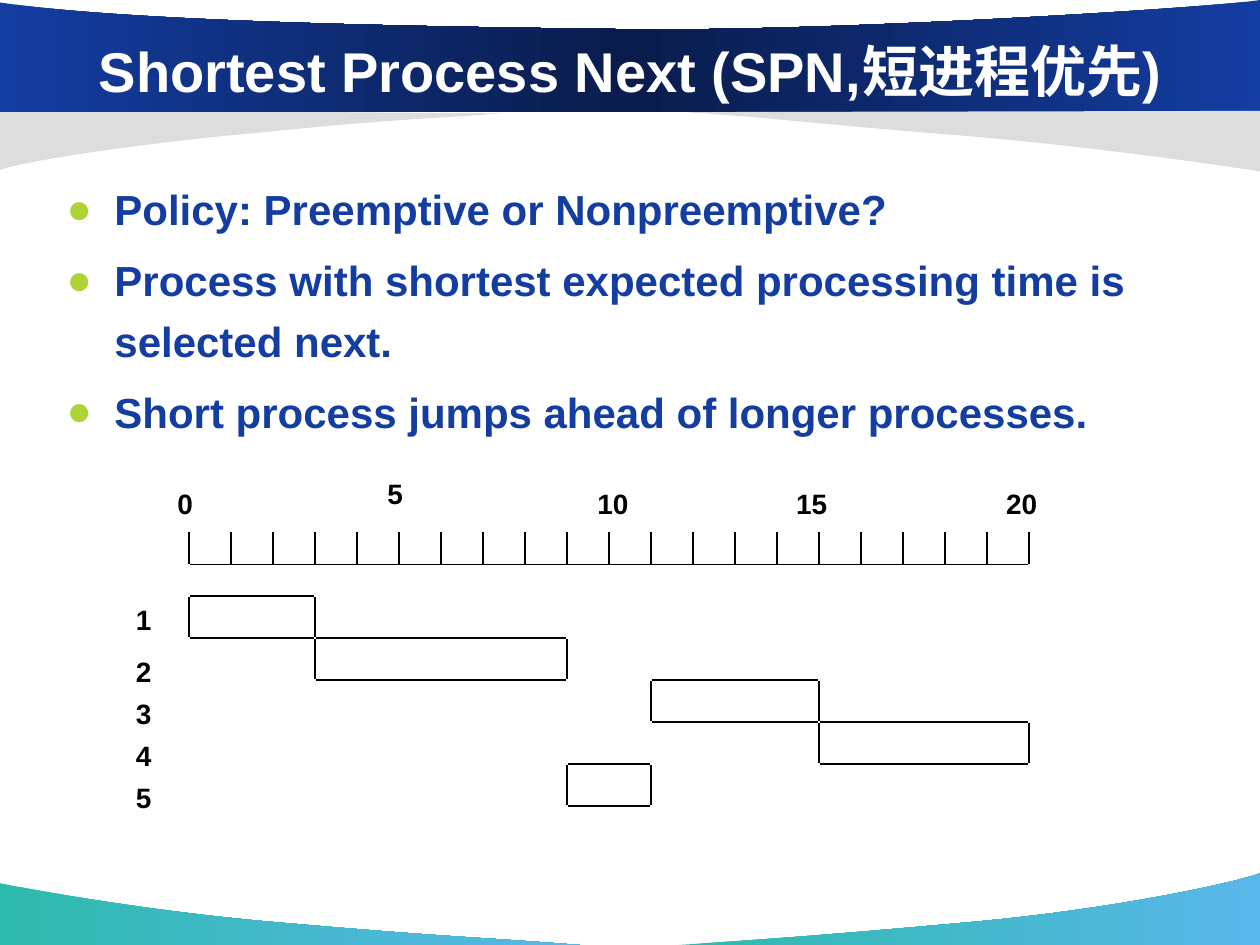
from dataclasses import dataclass

import pptx
import pptx.util
import pptx.dml.color
import pptx.enum.shapes
import pptx.enum.text
import pptx.oxml.ns
from lxml import etree

Inches, Pt = pptx.util.Inches, pptx.util.Pt
RGB = pptx.dml.color.RGBColor.from_string
ANCHOR, ALIGN = pptx.enum.text.MSO_ANCHOR, pptx.enum.text.PP_ALIGN


@dataclass(frozen=True)
class Theme:
    font: str = "Arial"
    title_size: int = 32
    body_size: int = 24
    label_size: int = 16
    white: str = "FFFFFF"
    black: str = "000000"
    blue: str = "143DA2"
    navy: str = "091C4B"
    gray: str = "DDDDDD"
    lime: str = "AED337"
    teal: str = "2EBAAD"
    sky: str = "5AB7EA"


THEME = Theme()
WIDTH, HEIGHT = 10, 7.5

TITLE = "Shortest Process Next (SPN,短进程优先)"
BULLETS = [
    "Policy: Preemptive or Nonpreemptive?",
    "Process with shortest expected processing time is selected next.",
    "Short process jumps ahead of longer processes.",
]
# process: (start, finish)
SCHEDULE = {"1": (0, 3), "2": (3, 9), "3": (11, 15), "4": (15, 20), "5": (9, 11)}
# time: (label offset from its tick, label top)
TIME_LABELS = {0: (0.19, 3.81), 5: (0.19, 3.73), 10: (0.19, 3.81),
               15: (0.28, 3.81), 20: (0.28, 3.81)}
LAST_TIME = 20

# Each wave: colours from left to right, then an outline whose
# two-number steps are corners and six-number steps are Bezier curves.
WAVES = [
    ((THEME.teal, THEME.sky),
     [(4.6, 7.5), (3.84, 7.44, 3.58, 7.44, 2.32, 7.33),
      (1.06, 7.23, 0.01, 7.01, 0, 7.01), (0, 7.5), (4.6, 7.5)]),
    ((THEME.teal, THEME.sky),
     [(5.39, 7.5), (6.14, 7.45, 6.46, 7.43, 7.69, 7.32),
      (8.92, 7.21, 9.9, 6.98, 10, 6.93), (10, 7.5), (5.39, 7.5)]),
    ((THEME.gray,),
     [(3.98, 0.9), (3.31, 0.95, 3.18, 0.94, 2.08, 1.05),
      (0.97, 1.15, 0.09, 1.3, 0, 1.35), (0, 0.87), (3.98, 0.9)]),
    ((THEME.blue, THEME.navy, THEME.blue),
     [(0, 0.89), (10, 0.89), (10, 0), (9.64, 0.06, 6.53, 0.26, 4.87, 0.23),
      (3.21, 0.21, 1.01, 0.17, 0, 0.02), (0, 0.89)]),
    ((THEME.gray,),
     [(5.44, 0.89), (6.2, 0.94, 6.42, 0.98, 7.68, 1.08),
      (8.94, 1.19, 9.99, 1.36, 10, 1.36), (10, 0.88), (5.44, 0.89)]),
]

# Chart grid, in inches
UNIT = 1 / 3
CHART_LEFT, AXIS_TOP, AXIS_BOTTOM = 1.5, 4.22, 4.48
ROWS_TOP, GAP = 4.73, 0.01
PROCESS_LEFT, LABEL_HEIGHT = 0.98, 0.36


def sub(parent, tag, **attributes):
    return etree.SubElement(parent, pptx.oxml.ns.qn(tag), attributes)


def curve_segments(wave, outline):
    """Bend each straight segment whose outline step is a Bezier curve."""
    segments = list(wave._element.iter(pptx.oxml.ns.qn("a:lnTo")))
    for segment, step in zip(segments, outline[1:]):
        if len(step) == 2:
            continue
        curve = etree.Element(pptx.oxml.ns.qn("a:cubicBezTo"))
        for x, y in zip(step[::2], step[1::2]):
            sub(curve, "a:pt", x=str(Inches(x) - wave.left), y=str(Inches(y) - wave.top))
        segment.getparent().replace(segment, curve)


def add_wave(page, colors, outline):
    start, *rest = [(Inches(step[-2]), Inches(step[-1])) for step in outline]
    builder = page.shapes.build_freeform(*start)
    builder.add_line_segments(rest, close=True)
    wave = builder.convert_to_shape()
    curve_segments(wave, outline)
    wave.shadow.inherit = False
    wave.line.fill.background()
    if len(colors) == 1:
        wave.fill.solid()
        wave.fill.fore_color.rgb = RGB(colors[0])
        return
    wave.fill.gradient()
    wave.fill.gradient_angle = 0
    stops = next(wave._element.iter(pptx.oxml.ns.qn("a:gsLst")))
    for stop in list(stops):
        stops.remove(stop)
    for i, color in enumerate(colors):
        stop = sub(stops, "a:gs", pos=str(100000 * i // (len(colors) - 1)))
        sub(stop, "a:srgbClr", val=color)


def style(para, size, color):
    para.font.name = THEME.font
    para.font.size = Pt(size)
    para.font.bold = True
    para.font.color.rgb = RGB(color)


def place_title(page):
    title = page.shapes.title
    title.left, title.top = 0, Inches(0.25)
    title.width, title.height = Inches(WIDTH), Inches(0.62)
    frame = title.text_frame
    frame.text = TITLE
    frame.vertical_anchor = ANCHOR.MIDDLE
    frame.paragraphs[0].alignment = ALIGN.CENTER
    style(frame.paragraphs[0], THEME.title_size, THEME.white)
    page.shapes._spTree.append(title._element)  # in front of the waves


def add_bullets(page):
    box = page.shapes.add_textbox(Inches(0.43), Inches(1.33), Inches(9.21), Inches(2.26))
    frame = box.text_frame
    frame.word_wrap = True
    for i, text in enumerate(BULLETS):
        para = frame.paragraphs[0] if i == 0 else frame.add_paragraph()
        para.text = text
        para.line_spacing = 1.2
        para.space_before = Pt(6 if i else 0)
        properties = para._p.get_or_add_pPr()
        properties.set("marL", str(Inches(0.38)))
        properties.set("indent", str(-Inches(0.38)))
        sub(sub(properties, "a:buClr"), "a:srgbClr", val=THEME.lime)
        sub(properties, "a:buFont", typeface=THEME.font)
        sub(properties, "a:buChar", char="●")
        style(para, THEME.body_size, THEME.blue)


def add_line(page, x1, y1, x2, y2):
    line = page.shapes.add_connector(
        pptx.enum.shapes.MSO_CONNECTOR.STRAIGHT,
        Inches(x1), Inches(y1), Inches(x2), Inches(y2))
    line.line.color.rgb = RGB(THEME.black)
    line.line.width = Pt(1)
    sub(line._element.spPr, "a:effectLst")


def add_label(page, text, left, top):
    width = 0.2 + 0.13 * len(text)
    box = page.shapes.add_textbox(Inches(left), Inches(top), Inches(width), Inches(LABEL_HEIGHT))
    box.text_frame.word_wrap = True
    box.text_frame.text = text
    style(box.text_frame.paragraphs[0], THEME.label_size, THEME.black)


def time_x(time):
    return CHART_LEFT + time * UNIT


def add_time_axis(page):
    add_line(page, time_x(0) + GAP, AXIS_BOTTOM, time_x(LAST_TIME) - GAP, AXIS_BOTTOM)
    for time in range(LAST_TIME + 1):
        add_line(page, time_x(time), AXIS_BOTTOM, time_x(time), AXIS_TOP)
    for time, (offset, top) in TIME_LABELS.items():
        add_label(page, str(time), time_x(time) - offset, top)


def add_schedule(page):
    for row, (process, (start, finish)) in enumerate(SCHEDULE.items()):
        top = ROWS_TOP + row * UNIT
        bottom = top + UNIT
        left, right = time_x(start), time_x(finish)
        for x in (left, right):
            add_line(page, x, top + GAP, x, bottom - GAP)
        for y in (top, bottom):
            add_line(page, left + GAP, y, right - GAP, y)
        add_label(page, process, PROCESS_LEFT, top + (0.08 if row else 0))


def main():
    deck = pptx.Presentation()
    deck.slide_width, deck.slide_height = Inches(WIDTH), Inches(HEIGHT)
    page = deck.slides.add_slide(deck.slide_layouts.get_by_name("Title Only"))
    for colors, outline in WAVES:
        add_wave(page, colors, outline)
    place_title(page)
    add_bullets(page)
    add_time_axis(page)
    add_schedule(page)
    deck.save("out.pptx")


if __name__ == "__main__":
    main()
